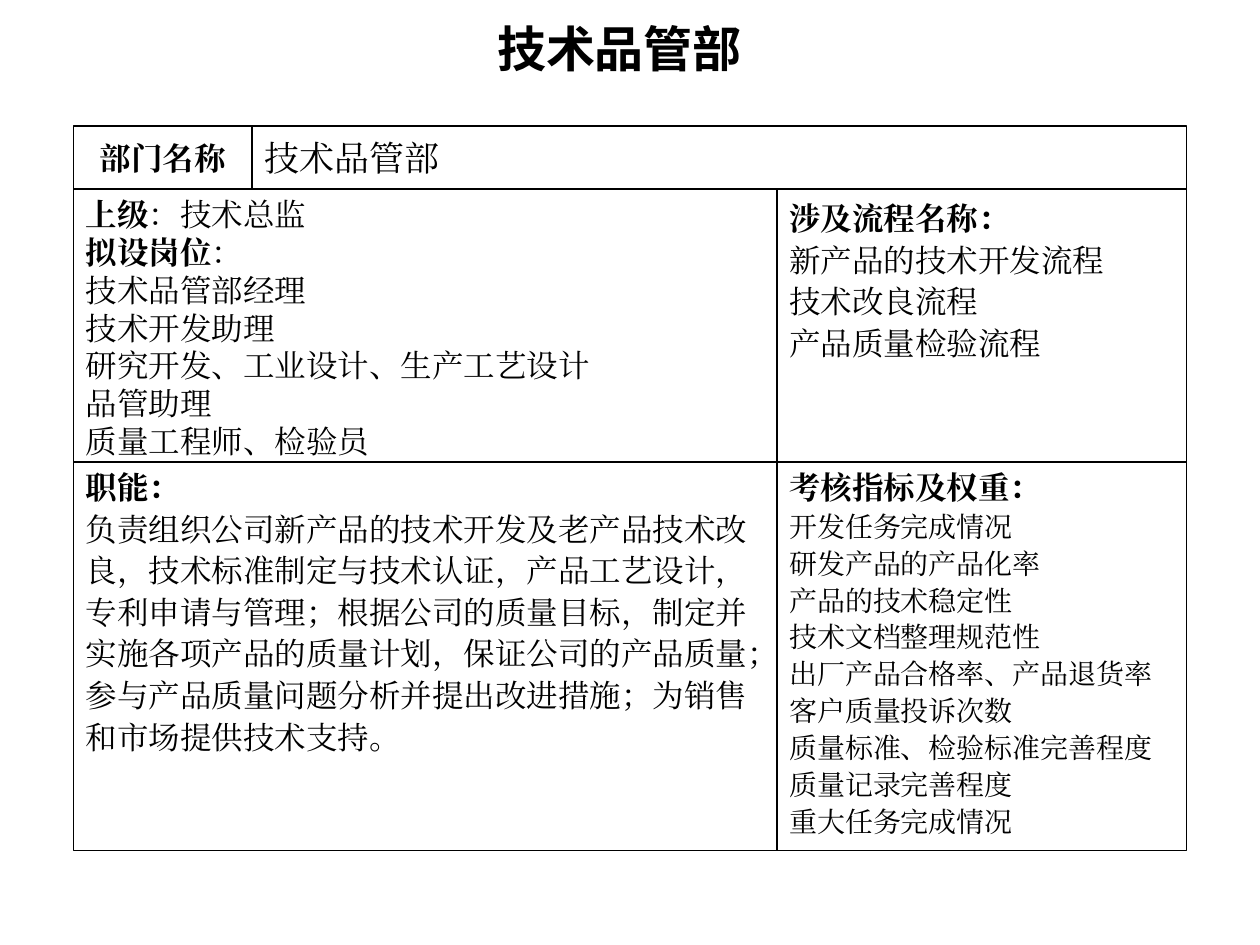
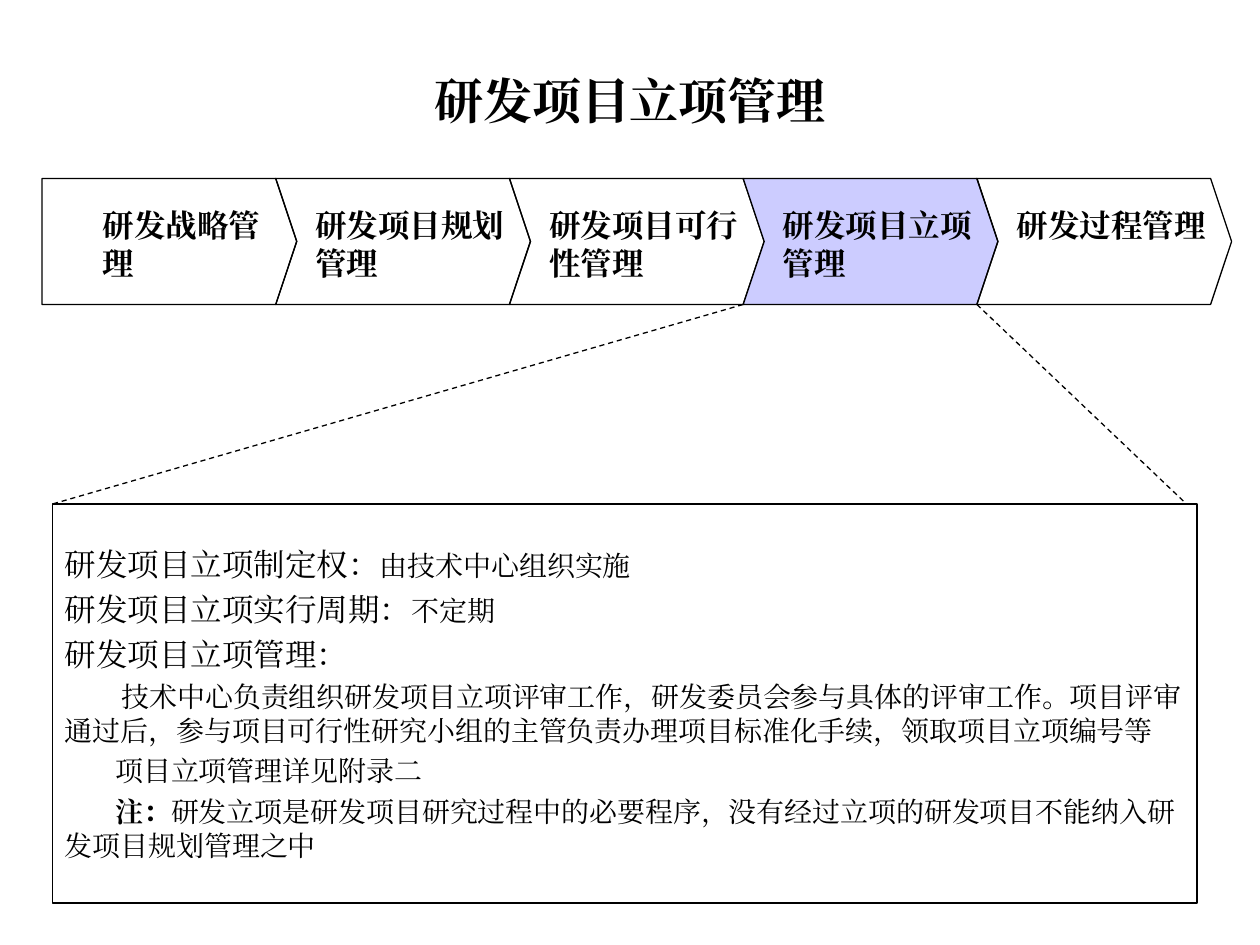
from pptx import Presentation
from pptx import util as u
from pptx.dml.color import RGBColor
from pptx.enum import dml, shapes, text
from pptx.oxml.ns import qn
from lxml import etree

INK, PAPER, ACTIVE = "000000", "FFFFFF", "CCCCFF"
SERIF, SANS = "Times New Roman", "Noto Sans CJK SC"
LINE_WIDTH = 0.75
COLUMNS, ROWS = 120, 90  # grid over the whole slide

deck = Presentation()
deck.slide_width, deck.slide_height = u.Inches(10), u.Inches(7.5)


def color(hex_value):
    return RGBColor.from_string(hex_value)


def place(*box):
    """Turn grid columns and rows (x, y, and optionally w, h) into lengths."""
    cells = (deck.slide_width / COLUMNS, deck.slide_height / ROWS)
    return [round(value * cells[i % 2]) for i, value in enumerate(box)]


def format_run(run, size, bold=False, font=SERIF):
    run.font.size, run.font.bold, run.font.name = u.Pt(size), bold, font
    run.font.color.rgb = color(INK)
    east_asian = etree.SubElement(run._r.get_or_add_rPr(), qn("a:ea"))
    east_asian.set("typeface", font)


def write(frame, paragraphs, anchor=text.MSO_ANCHOR.TOP, before=0):
    """Each paragraph is (runs, options); each run is (words, size, bold)."""
    frame.word_wrap, frame.vertical_anchor = True, anchor
    for i, (runs, options) in enumerate(paragraphs):
        paragraph = frame.add_paragraph() if i else frame.paragraphs[0]
        paragraph.alignment = options.get("align", text.PP_ALIGN.LEFT)
        paragraph.line_spacing = options.get("spacing", 1.0)
        paragraph.space_before = u.Pt(before if i else 0)
        margin, indent = options.get("indent", (0, 0))
        properties = paragraph._p.get_or_add_pPr()
        properties.set("marL", str(u.Inches(margin)))
        properties.set("indent", str(u.Inches(indent)))
        for words, size, bold in runs:
            run = paragraph.add_run()
            run.text = words
            format_run(run, size, bold)


def outlined(slide, kind, box, fill=None):
    shape = slide.shapes.add_shape(kind, *place(*box))
    shape.shadow.inherit = False
    if fill:
        shape.fill.solid()
        shape.fill.fore_color.rgb = color(fill)
    else:
        shape.fill.background()
    shape.line.color.rgb = color(INK)
    shape.line.width = u.Pt(LINE_WIDTH)
    return shape


def titled_slide(words, box, font):
    slide = deck.slides.add_slide(deck.slide_layouts[5])
    title = slide.shapes.title
    title.left, title.top, title.width, title.height = place(*box)
    frame = title.text_frame
    frame.text = words
    frame.auto_size = text.MSO_AUTO_SIZE.NONE
    frame.vertical_anchor = text.MSO_ANCHOR.MIDDLE
    frame.paragraphs[0].alignment = text.PP_ALIGN.CENTER
    format_run(frame.paragraphs[0].runs[0], 28, True, font)
    return slide


def lines(items, size, **options):
    return [([(item, size, False)], options) for item in items]


def heading(words, **options):
    return [([(words, 18, True)], options)]


# Department sheet: name row above a two by two arrangement of panels
def department_sheet(slide, box):
    x, y, w, h = box
    label_w, left_w = 17, 67
    name_h, posts_h = 6, 26
    right_w, duties_h = w - left_w, h - name_h - posts_h
    posts_y, duties_y = y + name_h, y + name_h + posts_h
    middle = text.MSO_ANCHOR.MIDDLE
    hanging = (0.5, -0.5)

    posts = [
        ([("上级", 18, True), ("：技术总监", 18, False)], {}),
        ([("拟设岗位", 18, True), ("：", 18, False)], {}),
    ] + lines(["技术品管部经理", "技术开发助理", "研究开发、工业设计、生产工艺设计",
               "品管助理", "质量工程师、检验员"], 18)
    processes = heading("涉及流程名称：", spacing=1.1) + lines(
        ["新产品的技术开发流程", "技术改良流程", "产品质量检验流程"], 18, spacing=1.1)
    duties = heading("职能：") + lines(
        ["负责组织公司新产品的技术开发及老产品技术改良，技术标准制定与技术认证，"
         "产品工艺设计，专利申请与管理；根据公司的质量目标，制定并实施各项产品的"
         "质量计划，保证公司的产品质量；参与产品质量问题分析并提出改进措施；"
         "为销售和市场提供技术支持。"], 18, spacing=1.1)
    indicators = heading("考核指标及权重：", indent=hanging) + lines(
        ["开发任务完成情况", "研发产品的产品化率", "产品的技术稳定性",
         "技术文档整理规范性", "出厂产品合格率、产品退货率", "客户质量投诉次数",
         "质量标准、检验标准完善程度", "质量记录完善程度", "重大任务完成情况"],
        16, spacing=1.1, indent=hanging)

    panels = [
        ((x, y, label_w, name_h),
         heading("部门名称", align=text.PP_ALIGN.CENTER), middle),
        ((x + label_w, y, w - label_w, name_h), lines(["技术品管部"], 20), middle),
        ((x, posts_y, left_w, posts_h), posts, text.MSO_ANCHOR.TOP),
        ((x + left_w, posts_y, right_w, posts_h), processes, text.MSO_ANCHOR.TOP),
        ((x, duties_y, left_w, duties_h), duties, text.MSO_ANCHOR.TOP),
        ((x + left_w, duties_y, right_w, duties_h), indicators, text.MSO_ANCHOR.TOP),
    ]
    for panel_box, paragraphs, anchor in panels:
        panel = outlined(slide, shapes.MSO_SHAPE.RECTANGLE, panel_box, PAPER)
        write(panel.text_frame, paragraphs, anchor)


# Stage chain: equal arrows whose tips fit the next notch
def stage_chain(slide, box, stages, active):
    x, y, w, h = box
    tip = 2
    pitch = (w - tip) / len(stages)
    for i, stage in enumerate(stages):
        kind = shapes.MSO_SHAPE.CHEVRON if i else shapes.MSO_SHAPE.PENTAGON
        left = x + i * pitch
        arrow = outlined(slide, kind, (left, y, pitch + tip, h),
                         ACTIVE if i == active else None)
        arrow.adjustments[0] = tip / h
        label_x, label_w = (2.6, 22) if i else (4.6, 20)
        label = slide.shapes.add_textbox(
            *place(left + label_x, y + 2, label_w, h - 4))
        write(label.text_frame, heading(stage))
    active_x = x + active * pitch
    return active_x, active_x + pitch


# Details of the highlighted stage
def stage_details(slide, box):
    details = outlined(slide, shapes.MSO_SHAPE.RECTANGLE, box)
    paragraphs = [
        ([("研发项目立项制定权：", 18, False), ("由技术中心组织实施", 16, False)], {}),
        ([("研发项目立项实行周期：", 18, False), ("不定期", 16, False)], {}),
        ([("研发项目立项管理：", 18, False)], {}),
    ] + lines(
        ["技术中心负责组织研发项目立项评审工作，研发委员会参与具体的评审工作。"
         "项目评审通过后，参与项目可行性研究小组的主管负责办理项目标准化手续，"
         "领取项目立项编号等"], 16, indent=(0, 0.45)
    ) + lines(["项目立项管理详见附录二"], 16, indent=(0, 0.4)) + [
        ([("注：", 16, True),
          ("研发立项是研发项目研究过程中的必要程序，没有经过立项的研发项目"
           "不能纳入研发项目规划管理之中", 16, False)], {"indent": (0, 0.4)}),
    ]
    write(details.text_frame, paragraphs, text.MSO_ANCHOR.MIDDLE, before=4)


def zoom_line(slide, start, end):
    line = slide.shapes.add_connector(
        shapes.MSO_CONNECTOR.STRAIGHT, *place(*start, *end))
    line.line.color.rgb = color(INK)
    line.line.width = u.Pt(LINE_WIDTH)
    line.line.dash_style = dml.MSO_LINE.DASH
    etree.SubElement(line._element.spPr, qn("a:effectLst"))


def department_slide():
    slide = titled_slide("技术品管部", (8, 1.2, 102, 6.8), SANS)
    department_sheet(slide, (7, 12, 106, 69))


def project_approval_slide():
    slide = titled_slide("研发项目立项管理", (9, 6, 102, 7), SERIF)
    chain_y, chain_h = 17, 12
    stages = ["研发战略管理", "研发项目规划管理", "研发项目可行性管理",
              "研发项目立项管理", "研发过程管理"]
    stage_left, stage_right = stage_chain(
        slide, (4, chain_y, 113.3, chain_h), stages, active=3)
    x, y, w, h = 5, 48, 109, 38
    stage_details(slide, (x, y, w, h))
    chain_bottom = chain_y + chain_h
    zoom_line(slide, (stage_left, chain_bottom), (x, y))
    zoom_line(slide, (stage_right, chain_bottom), (x + w - 1, y))


if __name__ == "__main__":
    department_slide()
    project_approval_slide()
    deck.save("out.pptx")
